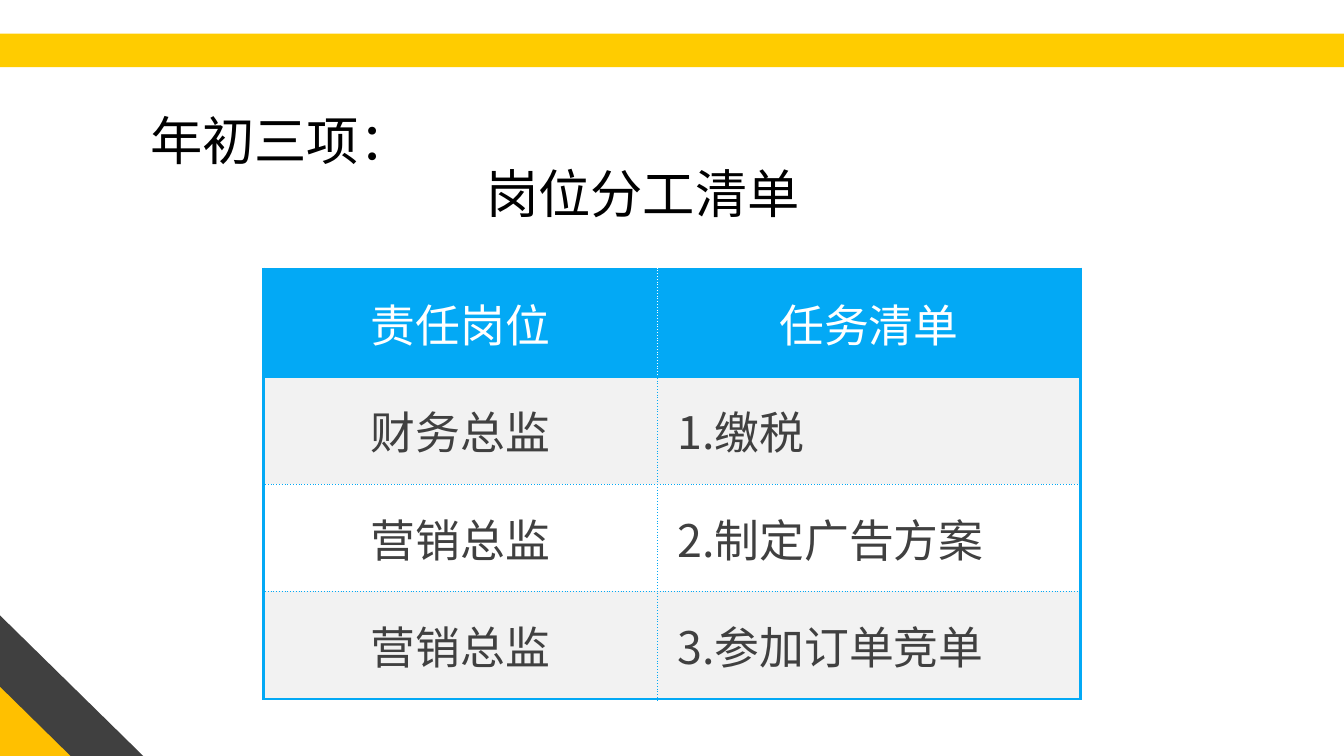
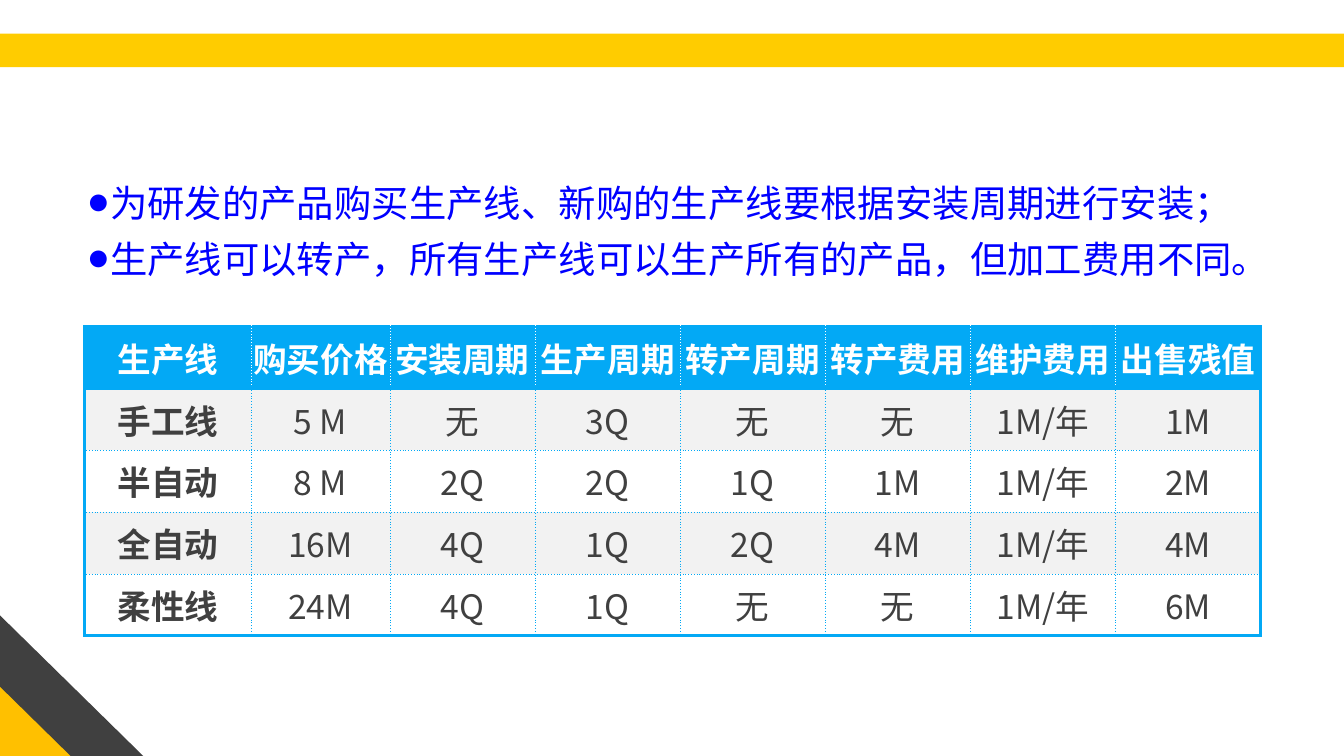
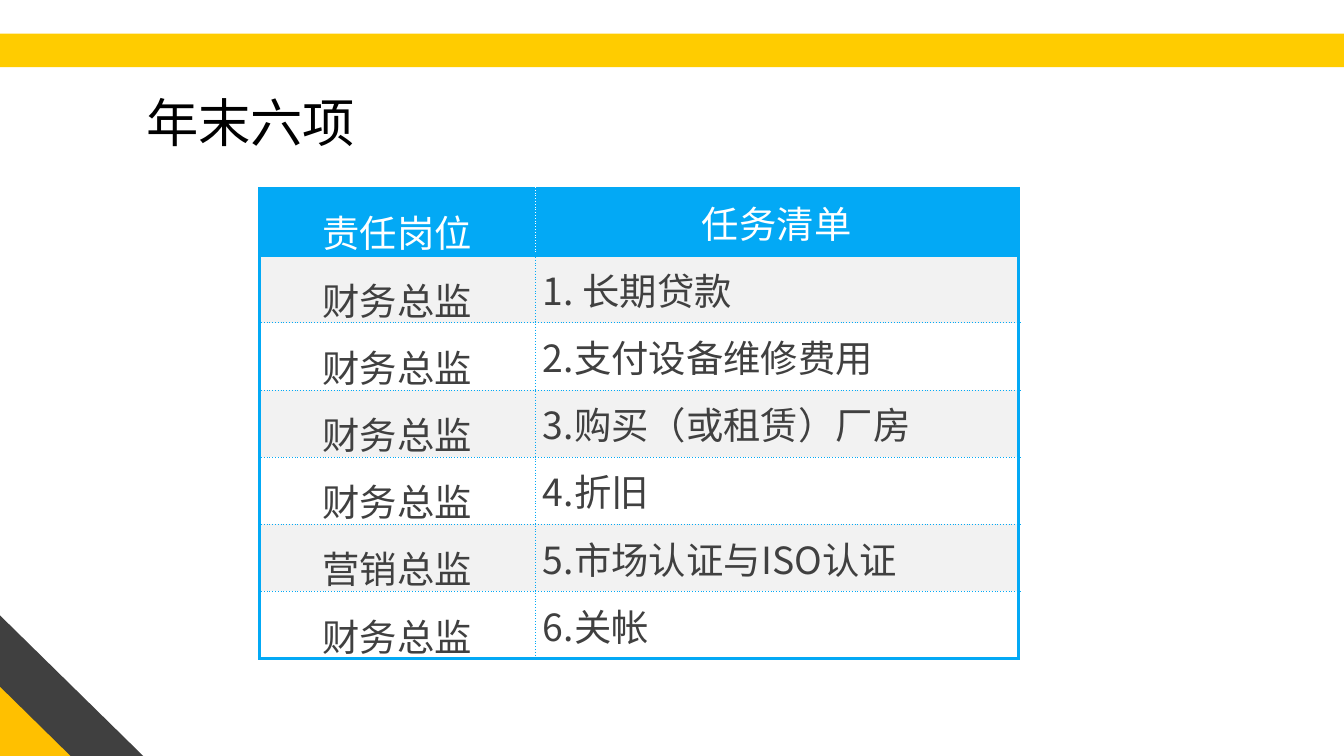
from pptx import Presentation
from pptx.dml.color import RGBColor
from pptx.enum.shapes import MSO_SHAPE
from pptx.enum.text import MSO_ANCHOR, MSO_AUTO_SIZE, PP_ALIGN
from pptx.oxml.ns import qn
from pptx.util import Inches, Pt
from lxml import etree

RECT = MSO_SHAPE.RECTANGLE
WEDGE = MSO_SHAPE.RIGHT_TRIANGLE
STRIPE = MSO_SHAPE.DIAGONAL_STRIPE
TOP, MIDDLE = MSO_ANCHOR.TOP, MSO_ANCHOR.MIDDLE
LEFT, CENTER = PP_ALIGN.LEFT, PP_ALIGN.CENTER
GROW = MSO_AUTO_SIZE.SHAPE_TO_FIT_TEXT

FONT = "Noto Sans CJK SC"
YELLOW = RGBColor(0xFF, 0xCC, 0x00)
AMBER = RGBColor(0xFF, 0xC0, 0x00)
DARK = RGBColor(0x40, 0x40, 0x40)
SKY = RGBColor(0x03, 0xA9, 0xF5)
PALE = RGBColor(0xF2, 0xF2, 0xF2)
WHITE = RGBColor(0xFF, 0xFF, 0xFF)
BLACK = RGBColor(0x00, 0x00, 0x00)
BLUE = RGBColor(0x00, 0x00, 0xFF)

THICK = (SKY, 1.5, "solid")
FINE = (SKY, 0.25, "dot")
LIGHT = (WHITE, 0.25, "dot")

START_TASKS = [
    ["责任岗位", "任务清单"],
    ["财务总监", "1.缴税"],
    ["营销总监", "2.制定广告方案"],
    ["营销总监", "3.参加订单竞单"],
]
LINES = [
    ["生产线", "购买价格", "安装周期", "生产周期", "转产周期", "转产费用", "维护费用", "出售残值"],
    ["手工线", "5 M", "无", "3Q", "无", "无", "1M/年", "1M"],
    ["半自动", "8 M", "2Q", "2Q", "1Q", "1M", "1M/年", "2M"],
    ["全自动", "16M", "4Q", "1Q", "2Q", "4M", "1M/年", "4M"],
    ["柔性线", "24M", "4Q", "1Q", "无", "无", "1M/年", "6M"],
]
RULES = [
    "为研发的产品购买生产线、新购的生产线要根据安装周期进行安装；",
    "生产线可以转产，所有生产线可以生产所有的产品，但加工费用不同。",
]
END_TASKS = [
    ["责任岗位", "任务清单"],
    ["财务总监", "1. 长期贷款"],
    ["财务总监", "2.支付设备维修费用"],
    ["财务总监", "3.购买（或租赁）厂房"],
    ["财务总监", "4.折旧"],
    ["营销总监", "5.市场认证与ISO认证"],
    ["财务总监", "6.关帐"],
]


def add_node(parent, tag, **attrs):
    return etree.SubElement(parent, qn(tag), **attrs)


def style_text(para, size, color, bold=False):
    for run in para.runs:
        font = run.font
        font.name, font.size, font.bold = FONT, Pt(size), bold
        font.color.rgb = color
        add_node(run._r.get_or_add_rPr(), "a:ea", typeface=FONT)


def add_block(shapes, kind, box, color):
    shape = shapes.add_shape(kind, *map(Inches, box))
    shape.shadow.inherit = False
    shape.fill.solid()
    shape.fill.fore_color.rgb = color
    shape.line.fill.background()
    return shape


def add_page(deck):
    slide = deck.slides.add_slide(deck.slide_layouts[6])
    add_block(slide.shapes, RECT, (0, 0.25, 10, 0.25), YELLOW)
    corner = slide.shapes.add_group_shape().shapes
    add_block(corner, WEDGE, (0, 5.01, 0.64, 0.62), AMBER)
    stripe = add_block(corner, STRIPE, (0, 4.58, 1.08, 1.06), DARK)
    stripe._element.spPr.find(qn("a:xfrm")).set("flipV", "1")
    return slide


def add_frame(slide, box):
    frame = slide.shapes.add_textbox(*map(Inches, box)).text_frame
    frame.word_wrap = True
    frame.auto_size = GROW
    return frame


def add_title(slide, text, box):
    frame = add_frame(slide, box)
    frame.text = text
    style_text(frame.paragraphs[0], 28, BLACK)


def add_bullets(slide, items, box):
    frame = add_frame(slide, box)
    frame.text = "\n".join(items)
    for para in frame.paragraphs:
        props = para._p.get_or_add_pPr()
        props.set("marL", str(Inches(0.29)))
        props.set("indent", str(-Inches(0.15)))
        add_node(props, "a:buSzPct", val="50000")
        add_node(props, "a:buFont", typeface=FONT)
        add_node(props, "a:buChar", char="●")
        para.space_after = Pt(6)
        style_text(para, 20, BLUE)


def set_edges(cell, edges):
    props = cell._tc.get_or_add_tcPr()
    for side, (color, width, dash) in zip("LRTB", edges):
        line = add_node(props, f"a:ln{side}", w=str(Pt(width)))
        fill = add_node(line, "a:solidFill")
        add_node(fill, "a:srgbClr", val=str(color))
        add_node(line, "a:prstDash", val=dash)


def fill_cell(cell, text, size, row, bold):
    cell.text = text
    cell.vertical_anchor = MIDDLE
    cell.fill.solid()
    cell.fill.fore_color.rgb = SKY if row == 0 else PALE if row % 2 else WHITE
    para = cell.text_frame.paragraphs[0]
    para.alignment = CENTER
    style_text(para, size, WHITE if row == 0 else DARK, bold)


def add_grid(slide, data, spot, widths, high, size, pad=0, strong=False):
    count = len(data)
    box = (*spot, sum(widths), high * count)
    table = slide.shapes.add_table(count, len(widths), *map(Inches, box)).table
    for col, width in enumerate(widths):
        table.columns[col].width = Inches(width)
    last = len(widths) - 1
    for row, texts in enumerate(data):
        table.rows[row].height = Inches(high)
        inner = FINE if row else LIGHT
        for col, text in enumerate(texts):
            cell = table.cell(row, col)
            cell.margin_left = cell.margin_right = 0
            cell.margin_top = cell.margin_bottom = Inches(pad)
            set_edges(cell, (
                inner if col else THICK,
                inner if col < last else THICK,
                FINE if row > 1 else THICK,
                FINE if 0 < row < count - 1 else THICK,
            ))
            fill_cell(cell, text, size, row, strong and 0 in (row, col))
    return table


def indent_tasks(table, gap):
    for row in range(1, len(table.rows)):
        cell = table.cell(row, 1)
        cell.margin_left = Inches(gap)
        cell.text_frame.paragraphs[0].alignment = LEFT


def lower_posts(table):
    for row in range(len(table.rows)):
        cell = table.cell(row, 0)
        cell.vertical_anchor = TOP
        cell.text_frame.paragraphs[0].line_spacing = 1.3


def main():
    deck = Presentation()
    deck.slide_width = Inches(10)
    deck.slide_height = Inches(10) * 9 // 16

    slide = add_page(deck)
    add_title(slide, "年初三项：", (1.02, 0.76, 2.82, 0.57))
    table = add_grid(slide, START_TASKS, (1.96, 2), (2.93, 3.15), 0.8, 24)
    indent_tasks(table, 0.15)
    add_title(slide, "岗位分工清单", (3.52, 1.15, 3.13, 0.57))

    slide = add_page(deck)
    widths = [1.24, 1.03] + [1.08] * 6
    add_grid(slide, LINES, (0.63, 2.43), widths, 0.46, 18, 0.05, True)
    add_bullets(slide, RULES, (0.43, 1.29, 9.25, 0.86))

    slide = add_page(deck)
    add_title(slide, "年末六项", (0.99, 0.62, 2.21, 0.57))
    table = add_grid(slide, END_TASKS, (1.93, 1.4), (2.05, 3.6), 0.5, 20)
    indent_tasks(table, 0.06)
    lower_posts(table)

    deck.save("out.pptx")


if __name__ == "__main__":
    main()
